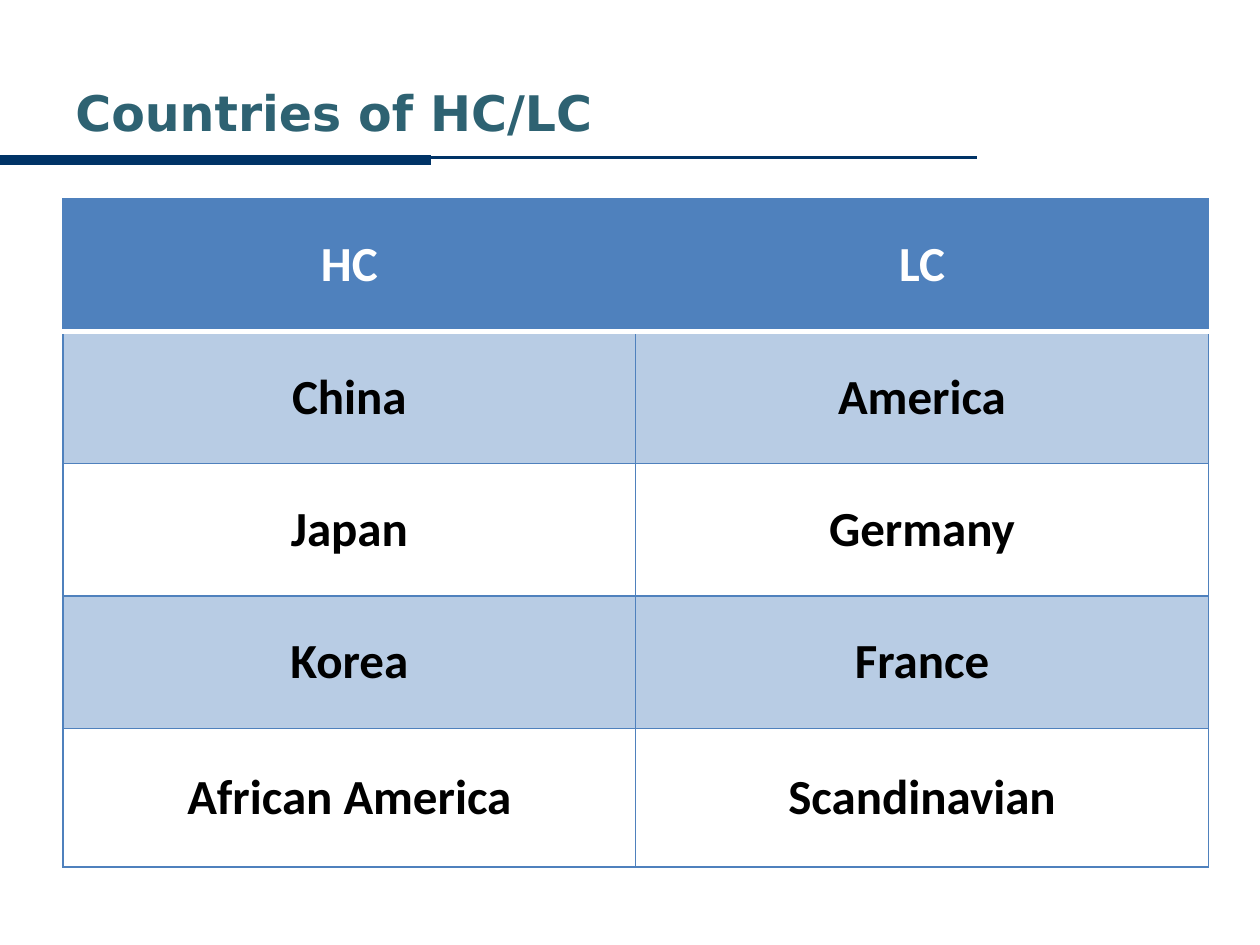
from lxml.etree import SubElement
from pptx import Presentation
from pptx.dml.color import RGBColor
from pptx.enum.shapes import MSO_CONNECTOR
from pptx.enum.text import MSO_ANCHOR, PP_ALIGN
from pptx.oxml.ns import qn
from pptx.util import Inches, Pt

COLORS = {"rule": "003366", "title": "2E6272", "blue": "4F81BD",
          "white": "FFFFFF", "black": "000000"}


def style_font(para, name, color):
    para.font.name = name
    para.font.size = Pt(28)
    para.font.bold = True
    para.font.color.rgb = RGBColor.from_string(COLORS[color])


def add_border(cell, side, color, points):
    """Draw one side (L, R, T or B) of a cell; call in that order, before the fill."""
    line = SubElement(cell._tc.get_or_add_tcPr(), qn(f"a:ln{side}"), w=str(Pt(points)))
    fill = SubElement(line, qn("a:solidFill"))
    SubElement(fill, qn("a:srgbClr"), val=COLORS[color])


deck = Presentation()
deck.slide_width, deck.slide_height = Inches(10), Inches(7.5)
page = deck.slides.add_slide(deck.slide_layouts[6])

# Thin and thick rules under the title
for right, top, weight in [(7.75, 1.25, 1.5), (3.42, 1.27, 6)]:
    rule = page.shapes.add_connector(MSO_CONNECTOR.STRAIGHT, Inches(0), Inches(top),
                                     Inches(right), Inches(top))
    rule.line.color.rgb = RGBColor.from_string(COLORS["rule"])
    rule.line.width = Pt(weight)
    SubElement(rule._element.spPr, qn("a:effectLst"))

title = page.shapes.add_textbox(Inches(0.5), Inches(0.58), Inches(8.42), Inches(0.62))
title.text_frame.word_wrap = True
title.text_frame.vertical_anchor = MSO_ANCHOR.MIDDLE
title_para = title.text_frame.paragraphs[0]
title_para.text = "Countries of HC/LC"
style_font(title_para, "DejaVu Sans", "title")

# Country table
countries = [("HC", "LC"), ("China", "America"), ("Japan", "Germany"),
             ("Korea", "France"), ("African America", "Scandinavian")]
table = page.shapes.add_table(len(countries), 2, Inches(0.5), Inches(1.58),
                              Inches(9.09), Inches(5.3)).table
for row in table.rows:
    row.height = Inches(1.05)
table.rows[len(countries) - 1].height = Inches(1.1)

for row_index, names in enumerate(countries):
    is_header = row_index == 0
    for column_index, name in enumerate(names):
        cell = table.cell(row_index, column_index)
        cell.vertical_anchor = MSO_ANCHOR.MIDDLE
        para = cell.text_frame.paragraphs[0]
        para.text = name
        para.alignment = PP_ALIGN.CENTER
        style_font(para, "Calibri", "white" if is_header else "black")

        divider = {"T": row_index == 1, "B": is_header}
        for side in "LRTB":
            if divider.get(side):
                add_border(cell, side, "white", 3)
            else:
                add_border(cell, side, "blue", 1)

        if is_header or row_index % 2:
            cell.fill.solid()
            cell.fill.fore_color.rgb = RGBColor.from_string(COLORS["blue"])
            if not is_header:
                tint = cell._tc.tcPr.find(qn("a:solidFill")).find(qn("a:srgbClr"))
                SubElement(tint, qn("a:alpha"), val="40000")
        else:
            cell.fill.background()

deck.save("out.pptx")
